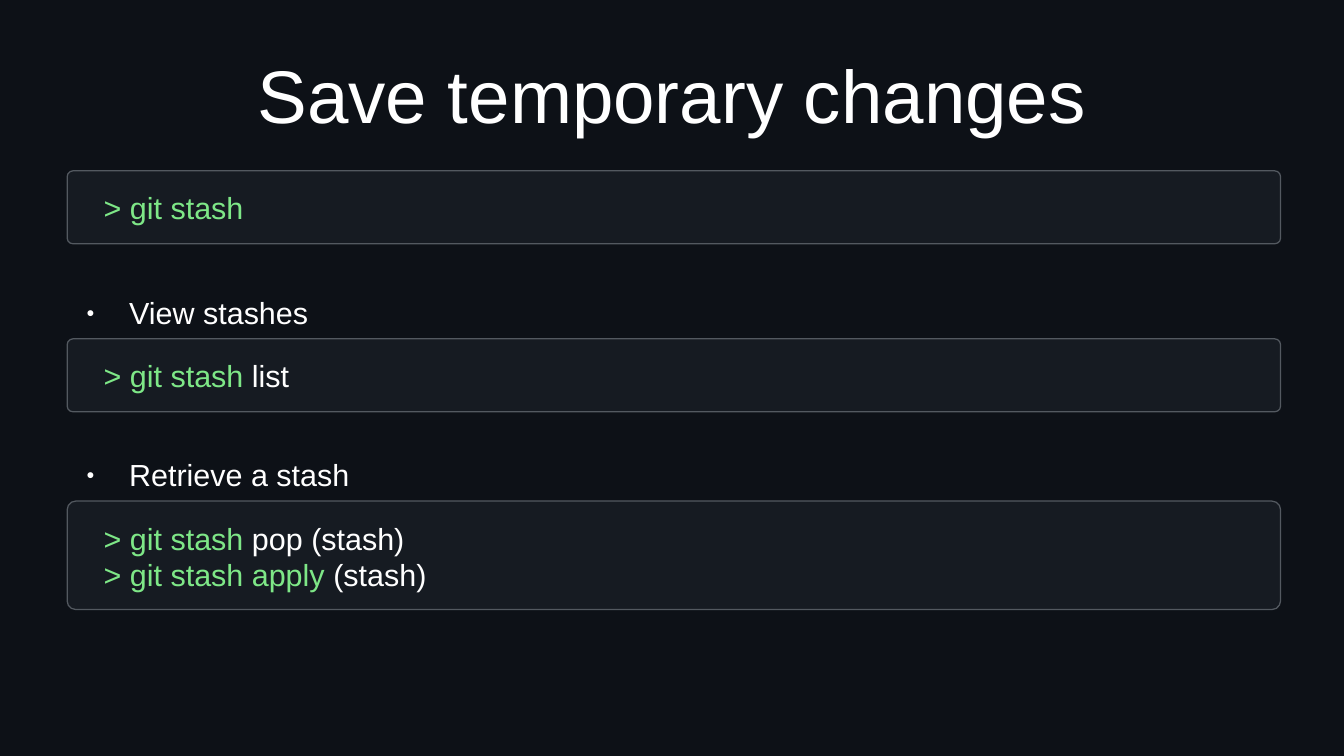
from lxml.etree import SubElement
from pptx import Presentation
from pptx.dml.color import RGBColor
from pptx.enum.shapes import MSO_SHAPE
from pptx.enum.text import MSO_ANCHOR, MSO_AUTO_SIZE, PP_ALIGN
from pptx.oxml.ns import qn
from pptx.util import Cm, Pt

NIGHT = RGBColor(0x0D, 0x11, 0x17)
PANEL = RGBColor(0x16, 0x1B, 0x22)
BORDER = RGBColor(0x53, 0x59, 0x60)
GREEN = RGBColor(0x7E, 0xE7, 0x87)
WHITE = RGBColor(0xFF, 0xFF, 0xFF)

FONT = "Arial"
TEXT_SIZE = 18
LEFT, WIDTH = Cm(1.4), Cm(25.27)
HEADING_RISE = Cm(0.93)

# heading, panel top, panel height, command lines as (green part, white part)
SECTIONS = [
    (None, Cm(3.56), Cm(1.52), [("> git stash", "")]),
    ("View stashes", Cm(7.06), Cm(1.52), [("> git stash ", "list")]),
    ("Retrieve a stash", Cm(10.44), Cm(2.26),
     [("> git stash ", "pop (stash)"), ("> git stash apply", " (stash)")]),
]


def add_text(paragraph, text, color, size=TEXT_SIZE):
    run = paragraph.add_run()
    run.text = text
    run.font.name = FONT
    run.font.size = Pt(size)
    run.font.color.rgb = color


def place_text(placeholder, left, top, width, height):
    """Move a placeholder, clear its margins and return its first paragraph."""
    placeholder.left, placeholder.top = left, top
    placeholder.width, placeholder.height = width, height
    frame = placeholder.text_frame
    frame.margin_left = frame.margin_top = 0
    frame.margin_right = frame.margin_bottom = 0
    frame.auto_size = MSO_AUTO_SIZE.NONE
    return frame.paragraphs[0]


def add_bullet(paragraph):
    properties = paragraph._p.get_or_add_pPr()
    properties.set("marL", str(Cm(1.19)))
    properties.set("indent", str(-Cm(0.89)))
    color = SubElement(properties, qn("a:buClr"))
    SubElement(color, qn("a:srgbClr"), val=str(WHITE))
    SubElement(properties, qn("a:buSzPct"), val="45000")
    SubElement(properties, qn("a:buFont"), typeface=FONT)
    SubElement(properties, qn("a:buChar"), char="●")


def fill_title(title, left, top, width, height):
    paragraph = place_text(title, left, top, width, height)
    title.text_frame.vertical_anchor = MSO_ANCHOR.MIDDLE
    paragraph.alignment = PP_ALIGN.CENTER
    add_text(paragraph, "Save temporary changes", WHITE, 44)


def fill_heading(body, text, left, top, width, height):
    paragraph = place_text(body, left, top, width, height)
    body.text_frame.vertical_anchor = MSO_ANCHOR.TOP
    paragraph.space_before = Pt(0)
    add_bullet(paragraph)
    add_text(paragraph, text, WHITE)


def add_command_panel(slide, commands, left, top, width, height):
    panel = slide.shapes.add_shape(
        MSO_SHAPE.ROUNDED_RECTANGLE, left, top, width, height)
    panel.adjustments[0] = 0.08
    panel.shadow.inherit = False
    panel.fill.solid()
    panel.fill.fore_color.rgb = PANEL
    panel.line.color.rgb = BORDER
    panel.line.width = Pt(0)

    inset = Cm(0.51)
    code = slide.shapes.add_textbox(
        left + inset, top + Cm(0.26), width - inset, Cm(1.68))
    frame = code.text_frame
    frame.word_wrap = True
    for index, (command, argument) in enumerate(commands):
        line = frame.add_paragraph() if index else frame.paragraphs[0]
        add_text(line, command, GREEN)
        if argument:
            add_text(line, argument, WHITE)


def main():
    presentation = Presentation()
    presentation.slide_width = Cm(27.99)
    presentation.slide_height = Cm(15.75)
    two_content = presentation.slide_layouts[3]
    slide = presentation.slides.add_slide(two_content)
    slide.background.fill.solid()
    slide.background.fill.fore_color.rgb = NIGHT

    title, *bodies = slide.placeholders
    fill_title(title, LEFT, Cm(0.64), Cm(25.2), Cm(2.64))
    free_bodies = iter(bodies)
    for heading, top, height, commands in SECTIONS:
        if heading:
            fill_heading(next(free_bodies), heading,
                         LEFT + Cm(0.1), top - HEADING_RISE, Cm(25.2), Cm(1.5))
        add_command_panel(slide, commands, LEFT, top, WIDTH, height)

    presentation.save("out.pptx")


if __name__ == "__main__":
    main()
